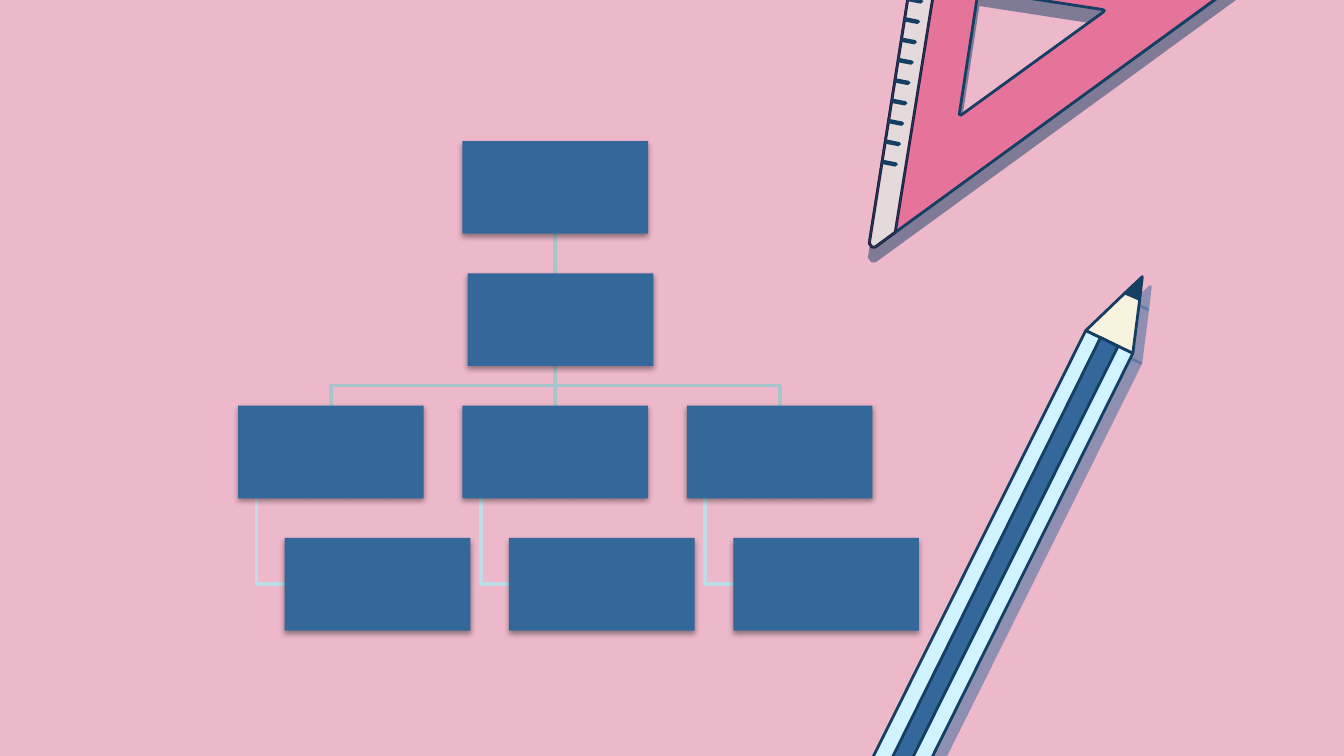
from lxml.etree import SubElement
from pptx import Presentation
from pptx.dml.color import RGBColor
from pptx.enum.shapes import MSO_CONNECTOR as CONN, MSO_SHAPE as SHAPE
from pptx.oxml.ns import qn
from pptx.util import Cm, Pt

# Content: colours, shadows and outlines, lengths in cm
PINK, ROSE, NAVY, BLUE = "ECB8CA", "E5739A", "143E63", "34679A"
STRIP, PLUM, WOOD, ICE = "E5DADB", "2C1738", "F8F3DE", "D0F3FF"
TRUNK, BRANCH = "A7C3CC", "BDDDE7"

# colour, opacity %, blur pt, distance pt, direction in degrees
SQUARE_SHADOW = (NAVY, 50, 0, 7.5, 90)
PENCIL_SHADOW = (BLUE, 50, 0, 6.8, 51)
BOX_SHADOW = ("000000", 38, 3.1, 1.6, 90)

TIP = [(16.43, 4.6), (16.48, 4.67), (16.54, 4.67)]
FAR = [(23.72, -0.56), (23.75, -0.64), (23.7, -0.69), (17.42, -1.68)]
INNER = [(16.92, 4.39), (17.81, -1.17), (23.37, -0.28)]
HOLE = [(18.16, 2.18), (18.13, 2.16), (18.49, -0.18),
        (20.83, 0.18), (20.87, 0.2), (20.85, 0.23)]
TICK = [(16.92, 3.15), (16.97, 3.11), (16.94, 3.07), (16.69, 3.02), (16.66, 3.1)]
TICKS, TICK_DX, TICK_DY = 9, 0.06, -0.385

# contours, fill, line colour, line width, shadow
SET_SQUARE = [
    ([TIP + FAR, HOLE], ROSE, NAVY, 1.5, SQUARE_SHADOW),
    ([TIP + INNER + FAR], STRIP, PLUM, 1.5, None),
]
SQUARE_EDGES = [
    ([TIP + FAR, HOLE], None, NAVY, 0.59, None),
    ([INNER, HOLE], None, NAVY, 0.52, None),
]
PENCIL = [
    ([[(21.59, 5.23), (21.26, 5.54), (21.54, 5.66)]],
     NAVY, NAVY, 1.5, PENCIL_SHADOW),
    ([[(21.26, 5.54), (20.52, 6.25), (21.41, 6.68), (21.54, 5.66)]],
     WOOD, NAVY, 1.5, PENCIL_SHADOW),
    ([[(20.52, 6.25), (16.48, 14.35), (16.46, 14.45), (16.54, 14.55),
       (17.2, 14.86), (17.3, 14.86), (17.37, 14.81), (21.41, 6.68)]],
     ICE, NAVY, 1.5, PENCIL_SHADOW),
    ([[(20.8, 6.38), (16.71, 14.63), (17.02, 14.78), (21.13, 6.55)]],
     BLUE, NAVY, 1.5, None),
]

# Organisation chart grid
BOX_W, BOX_H = 3.51, 1.75
ROWS = [2.67 + 2.5 * i for i in range(4)]
COLS = [4.5 + 4.24 * i for i in range(3)]
ASSISTANT_DX, LEAF_DX, DROP_DX = 0.1, 0.88, 0.35
BUS_Y = 7.29


def rgb(color):
    return RGBColor.from_string(color)


def style(sp, fill=None, line=None, width=1, shadow=None):
    sp.shadow.inherit = False
    if fill:
        sp.fill.solid()
        sp.fill.fore_color.rgb = rgb(fill)
    else:
        sp.fill.background()
    if line:
        sp.line.color.rgb = rgb(line)
        sp.line.width = Pt(width)
    else:
        sp.line.fill.background()
    if shadow:
        color, alpha, blur, dist, angle = shadow
        effects = sp._element.spPr.find(qn("a:effectLst"))
        outer = SubElement(effects, qn("a:outerShdw"), blurRad=str(Pt(blur)),
                           dist=str(Pt(dist)), dir=str(angle * 60000),
                           algn="bl", rotWithShape="0")
        clr = SubElement(outer, qn("a:srgbClr"), val=color)
        SubElement(clr, qn("a:alpha"), val=str(alpha * 1000))


def draw(contours, *look, close=True):
    contours = [[(Cm(x), Cm(y)) for x, y in pts] for pts in contours]
    builder = s.shapes.build_freeform(*contours[0][0], scale=1.0)
    for i, (start, *rest) in enumerate(contours):
        if i:
            builder.move_to(*start)
        builder.add_line_segments(rest, close=close)
    style(builder.convert_to_shape(), *look)


def box(x, y):
    sp = s.shapes.add_shape(SHAPE.RECTANGLE, Cm(x), Cm(y), Cm(BOX_W), Cm(BOX_H))
    style(sp, BLUE, shadow=BOX_SHADOW)


prs = Presentation()
prs.slide_width, prs.slide_height = Cm(25.4), Cm(14.29)
s = prs.slides.add_slide(prs.slide_layouts[6])
s.background.fill.solid()
s.background.fill.fore_color.rgb = rgb(PINK)

# Set square with its scale
for part in SET_SQUARE:
    draw(*part)
for i in range(TICKS):
    draw([[(x + i * TICK_DX, y + i * TICK_DY) for x, y in TICK]], NAVY)
for part in SQUARE_EDGES:
    draw(*part)

# Pencil
for part in PENCIL:
    draw(*part)

# Links between the boxes
root_x, root_y = COLS[1] + BOX_W / 2, ROWS[0] + BOX_H
for col in COLS:
    drop_x, mid_y = col + DROP_DX, ROWS[3] + BOX_H / 2
    draw([[(drop_x, ROWS[2] + BOX_H), (drop_x, mid_y), (col + LEAF_DX, mid_y)]],
         None, BRANCH, 2, close=False)
for col in (COLS[0], COLS[2]):
    x = col + BOX_W / 2
    draw([[(root_x, root_y), (root_x, BUS_Y), (x, BUS_Y), (x, ROWS[2])]],
         None, TRUNK, 2, close=False)
stem = s.shapes.add_connector(CONN.STRAIGHT, Cm(root_x), Cm(root_y),
                              Cm(root_x), Cm(ROWS[2]))
stem.line.color.rgb = rgb(TRUNK)
stem.line.width = Pt(2)
SubElement(stem._element.spPr, qn("a:effectLst"))

# Boxes: root, assistant, then each column with its leaf
box(COLS[1], ROWS[0])
box(COLS[1] + ASSISTANT_DX, ROWS[1])
for col in COLS:
    box(col, ROWS[2])
    box(col + LEAF_DX, ROWS[3])

prs.save("out.pptx")
